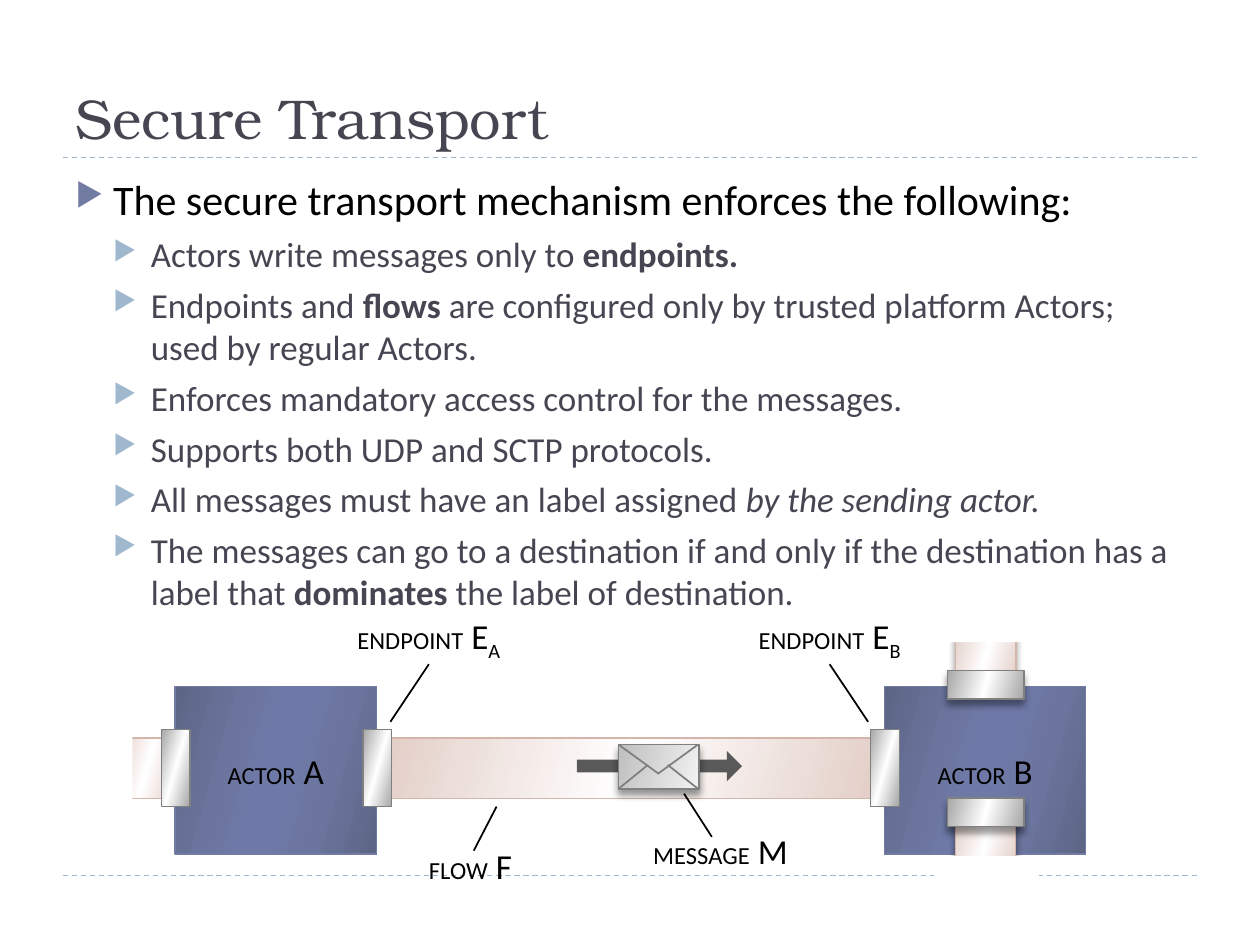
from dataclasses import dataclass
from typing import Optional

from pptx import Presentation
from pptx.dml.color import RGBColor
from pptx.enum.dml import MSO_LINE_DASH_STYLE as Dash
from pptx.enum.shapes import MSO_CONNECTOR as Connector, MSO_SHAPE as Shape
from pptx.enum.text import MSO_ANCHOR as Anchor, MSO_AUTO_SIZE as AutoSize, PP_ALIGN as Align
from pptx.oxml import parse_xml
from pptx.oxml.ns import nsdecls
from pptx.util import Cm, Pt

COLORS = {
    "ink": "000000", "heading": "464653", "accent": "727CA3", "rule": "9FB8CD",
    "white": "FFFFFF", "flow_edge": "D4B5AA", "metal_edge": "808080",
    "fold": "7F7F7F", "arrow": "595959",
}
GRADIENTS = {
    "flow": [(0, "E3CEC7"), (50, "FFFFFF"), (100, "E3CEC7")],
    "actor": [(0, "5D6585"), (30, "6B759E"), (45, "6E79A7"),
              (55, "6E79A7"), (73, "6B759E"), (100, "5D6585")],
    "metal": [(0, "A6A6A6"), (50, "FFFFFF"), (100, "A6A6A6")],
    "paper": [(0, "BFBFBF"), (100, "F2F2F2")],
}
GRADIENT_ANGLE = 16
BODY_FONT, TITLE_FONT = "Calibri", "TeX Gyre Bonum"


@dataclass
class Span:
    text: str
    size: float = 20
    color: str = "ink"
    font: str = BODY_FONT
    bold: bool = False
    italic: bool = False
    baseline: int = 0


@dataclass
class Block:
    left: float
    top: float
    width: float
    height: float
    fill: str
    edge: Optional[str] = None
    edge_width: float = 0.75
    rotation: int = 0
    shadow: bool = False
    preset: Shape = Shape.RECTANGLE


@dataclass
class Segment:
    start: tuple
    end: tuple
    color: str = "ink"
    width: float = 1
    dashed: bool = False


def rgb(name: str) -> RGBColor:
    return RGBColor.from_string(COLORS[name])


def write_spans(para, spans: list) -> None:
    for span in spans:
        run = para.add_run()
        run.text = span.text
        formats = {"name": span.font, "size": Pt(span.size), "bold": span.bold, "italic": span.italic}
        for key, value in formats.items():
            setattr(run.font, key, value)
        run.font.color.rgb = rgb(span.color)
        if span.baseline:
            run.font._element.set("baseline", str(span.baseline * 1000))


def caption(word: str, letter: str, subscript: str = "") -> list:
    """Small word followed by a larger letter and an optional subscript."""
    spans = [Span(word, 14), Span(" " + letter)]
    return spans + [Span(subscript, baseline=-25)] if subscript else spans


def add_box(slide, left: float, top: float, width: float, height: float, **formats):
    box = slide.shapes.add_textbox(Cm(left), Cm(top), Cm(width), Cm(height))
    for key, value in {"word_wrap": True, **formats}.items():
        setattr(box.text_frame, key, value)
    return box


def add_label(slide, left: float, top: float, width: float, spans: list):
    box = add_box(slide, left, top, width, 1.12, word_wrap=False, auto_size=AutoSize.SHAPE_TO_FIT_TEXT)
    para = box.text_frame.paragraphs[0]
    para.alignment = Align.CENTER
    write_spans(para, spans)
    return box


def add_segment(slide, segment: Segment):
    line = slide.shapes.add_connector(Connector.STRAIGHT, *map(Cm, segment.start + segment.end))
    line.line.color.rgb = rgb(segment.color)
    line.line.width = Pt(segment.width)
    if segment.dashed:
        line.line.dash_style = Dash.DASH
    line._element.spPr.append(parse_xml(f"<a:effectLst {nsdecls('a')}/>"))
    return line


def add_gradient(shape, name: str, rotation: int) -> None:
    """Fill along one slide direction, whatever the rotation of the shape."""
    stops = "".join(f'<a:gs pos="{position * 1000}"><a:srgbClr val="{color}"/></a:gs>'
                    for position, color in GRADIENTS[name])
    angle = (GRADIENT_ANGLE - rotation) % 360 * 60000
    shape._element.spPr.insert(2, parse_xml(
        f'<a:gradFill {nsdecls("a")} rotWithShape="1"><a:gsLst>{stops}</a:gsLst>'
        f'<a:lin ang="{angle}" scaled="0"/></a:gradFill>'))


def add_block(slide, block: Block):
    shape = slide.shapes.add_shape(
        block.preset, Cm(block.left), Cm(block.top), Cm(block.width), Cm(block.height))
    shape.rotation = block.rotation
    if block.fill in GRADIENTS:
        add_gradient(shape, block.fill, block.rotation)
    else:
        shape.fill.solid()
        shape.fill.fore_color.rgb = rgb(block.fill)
    if block.edge:
        shape.line.color.rgb = rgb(block.edge)
        shape.line.width = Pt(block.edge_width)
    else:
        shape.line.fill.background()
    shape.shadow.inherit = False
    if block.shadow:
        shape._element.spPr.effectLst.append(parse_xml(
            f'<a:outerShdw {nsdecls("a")} blurRad="{Pt(4)}" dist="{Pt(3.4)}" dir="5400000" rotWithShape="0">'
            '<a:srgbClr val="000000"><a:alpha val="40000"/></a:srgbClr></a:outerShdw>'))
    return shape


def add_flow(slide, left: float, top: float, width: float = 1.14, **formats) -> None:
    add_block(slide, Block(left, top, width, 1.22, "flow", "flow_edge", **formats))


def add_endpoint(slide, left: float, top: float = 14.71, **formats) -> None:
    add_block(slide, Block(left, top, 0.58, 1.55, "metal", "metal_edge", **formats))


def add_mask(slide, left: float, top: float, rotation: int = 0) -> None:
    """White strip that cuts off the outer end of a flow."""
    add_block(slide, Block(left, top, 0.56, 2.11, "white", rotation=rotation))


def add_actor(slide, left: float, letter: str) -> None:
    actor = add_block(slide, Block(left, 13.84, 4.06, 3.38, "actor", "accent"))
    actor.text_frame.vertical_anchor = Anchor.MIDDLE
    para = actor.text_frame.paragraphs[0]
    para.alignment = Align.CENTER
    write_spans(para, caption("ACTOR", letter))


def add_bullet(para, level: int, spans: list) -> None:
    para.level = level
    para.space_before = Pt(6 - level)
    properties = para._p.get_or_add_pPr()
    properties.set("marL", str(Cm(0.76 * (level + 1))))
    properties.set("indent", str(Cm(-0.76)))
    color = COLORS["rule" if level else "accent"]
    for xml in (f'<a:buClr {nsdecls("a")}><a:srgbClr val="{color}"/></a:buClr>',
                f'<a:buSzPct {nsdecls("a")} val="76000"/>',
                f'<a:buChar {nsdecls("a")} char="▶"/>'):
        properties.append(parse_xml(xml))
    write_spans(para, spans)


def point(text: str, **formats) -> Span:
    return Span(text, color="heading", **formats)


BULLETS = [
    (0, [Span("The secure transport mechanism enforces the following:", 24)]),
    (1, [point("Actors write messages only to "), point("endpoints.", bold=True)]),
    (1, [point("Endpoints and "), point("flows", bold=True),
         point(" are configured only by trusted platform Actors; used by regular Actors.")]),
    (1, [point("Enforces mandatory access control for the messages.")]),
    (1, [point("Supports both UDP and SCTP protocols.")]),
    (1, [point("All messages must have an label assigned "), point("by the sending actor.", italic=True)]),
    (1, [point("The messages can go to a destination if and only if the destination has a label that "),
         point("dominates", bold=True), point(" the label of destination.")]),
]
ENVELOPE_FOLDS = [((12.47, 15.01), (13.28, 15.6)), ((14.07, 15.01), (13.26, 15.6)),
                  ((13.06, 15.42), (12.47, 15.9)), ((13.46, 15.42), (14.07, 15.9))]


def draw_text(slide) -> None:
    for height in (17.65, 3.18):
        add_segment(slide, Segment((1.27, height), (24.13, height), "rule", 0.75, True))
    title = add_box(slide, 1.27, 0.43, 22.86, 2.74, vertical_anchor=Anchor.BOTTOM)
    write_spans(title.text_frame.paragraphs[0], [Span("Secure Transport", 32, "heading", TITLE_FONT)])
    frame = add_box(slide, 1.27, 3.38, 22.86, 13.72).text_frame
    for index, (level, spans) in enumerate(BULLETS):
        add_bullet(frame.add_paragraph() if index else frame.paragraphs[0], level, spans)


def draw_diagram(slide) -> None:
    add_flow(slide, 7.72, 14.88, 9.96)
    add_actor(slide, 3.53, "A")
    add_endpoint(slide, 7.32)
    add_actor(slide, 17.83, "B")
    arrow = add_block(slide, Block(11.63, 15.14, 3.33, 0.61, "arrow", preset=Shape.RIGHT_ARROW))
    arrow.adjustments[0] = 0.42
    add_block(slide, Block(12.47, 15.01, 1.63, 0.89, "paper", "metal_edge", 1, shadow=True))
    for start, end in ENVELOPE_FOLDS:
        add_segment(slide, Segment(start, end, "fold"))
    add_endpoint(slide, 17.55)
    add_flow(slide, 2.39, 14.88)
    add_endpoint(slide, 3.25)
    add_mask(slide, 2.11, 14.43)
    for rotation, flow, endpoint, mask in ((90, 12.62, 13.03, 11.61), (270, 16.36, 15.6, 16.48)):
        add_flow(slide, 19.3, flow, rotation=rotation, shadow=True)
        add_endpoint(slide, 19.58, endpoint, rotation=rotation, shadow=True)
        add_mask(slide, 19.61, mask, rotation)
    for left, letter, tip in ((6.93, "A", 7.87), (15.01, "B", 17.5)):
        label = add_label(slide, left, 12.27, 3.43, caption("ENDPOINT", "E", letter))
        pointer = add_segment(slide, Segment((tip, 14.55), (left + 1.72, 13.39)))
        pointer.end_connect(label, 2)
    add_label(slide, 8.38, 16.89, 2.21, caption("FLOW", "F"))
    add_label(slide, 12.9, 16.59, 3.25, caption("MESSAGE", "M"))
    add_segment(slide, Segment((9.55, 17.15), (10.01, 16.26)))
    add_segment(slide, Segment((14.35, 16.87), (13.79, 16)))


def main() -> None:
    deck = Presentation()
    deck.slide_width, deck.slide_height = Cm(25.4), Cm(19.05)
    slide = deck.slides.add_slide(deck.slide_layouts[6])
    draw_text(slide)
    draw_diagram(slide)
    deck.save("out.pptx")


if __name__ == "__main__":
    main()
